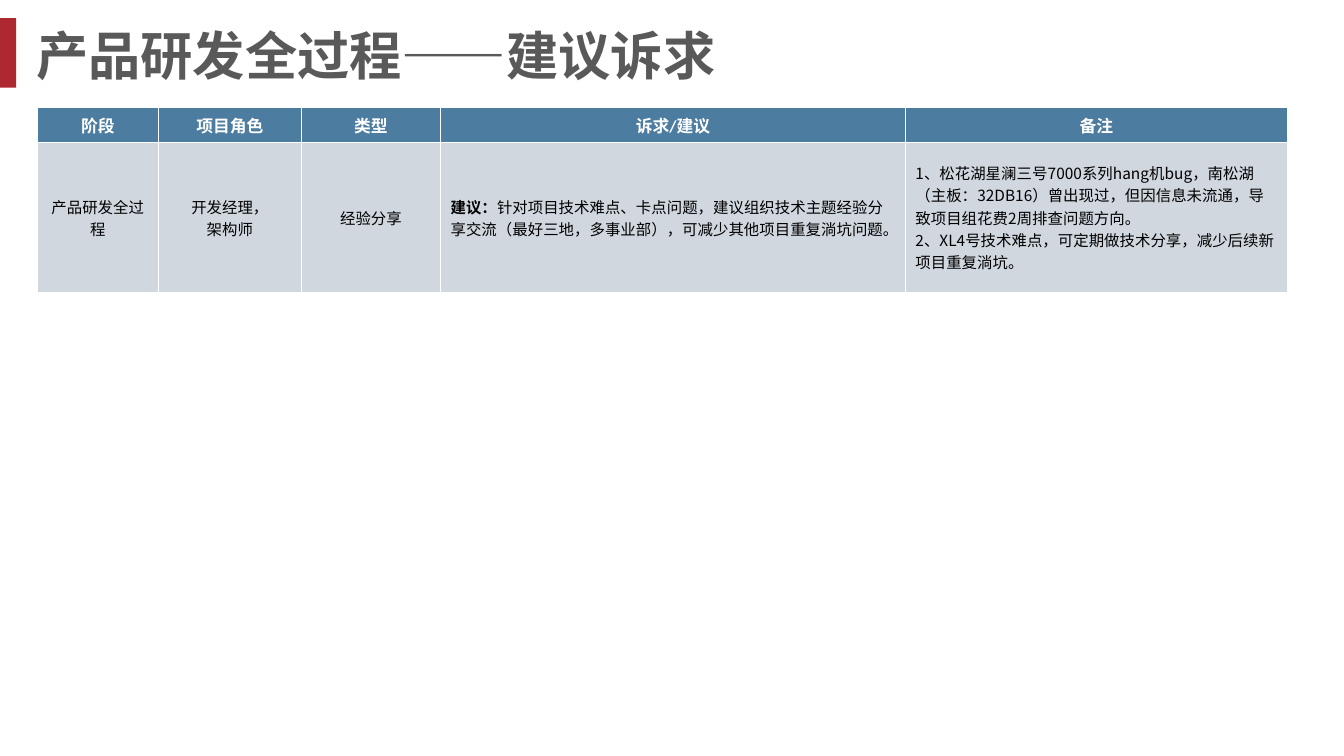
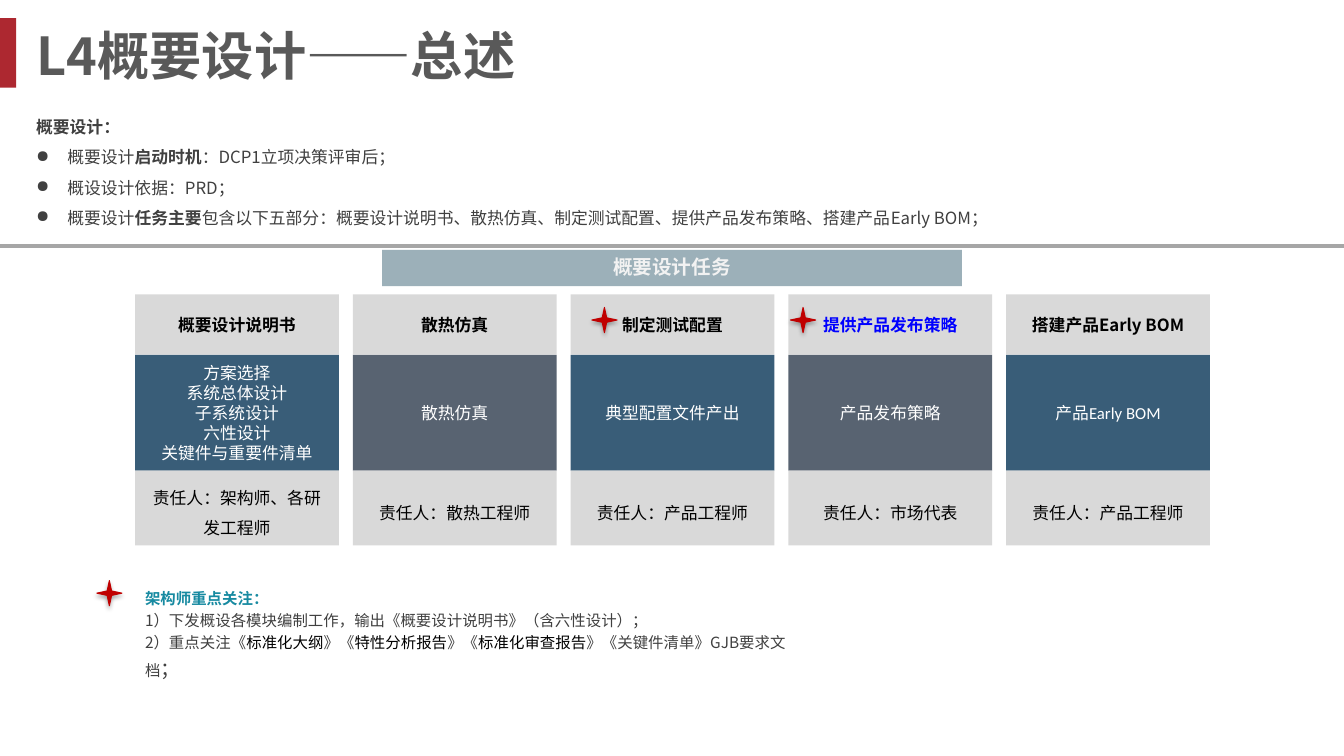
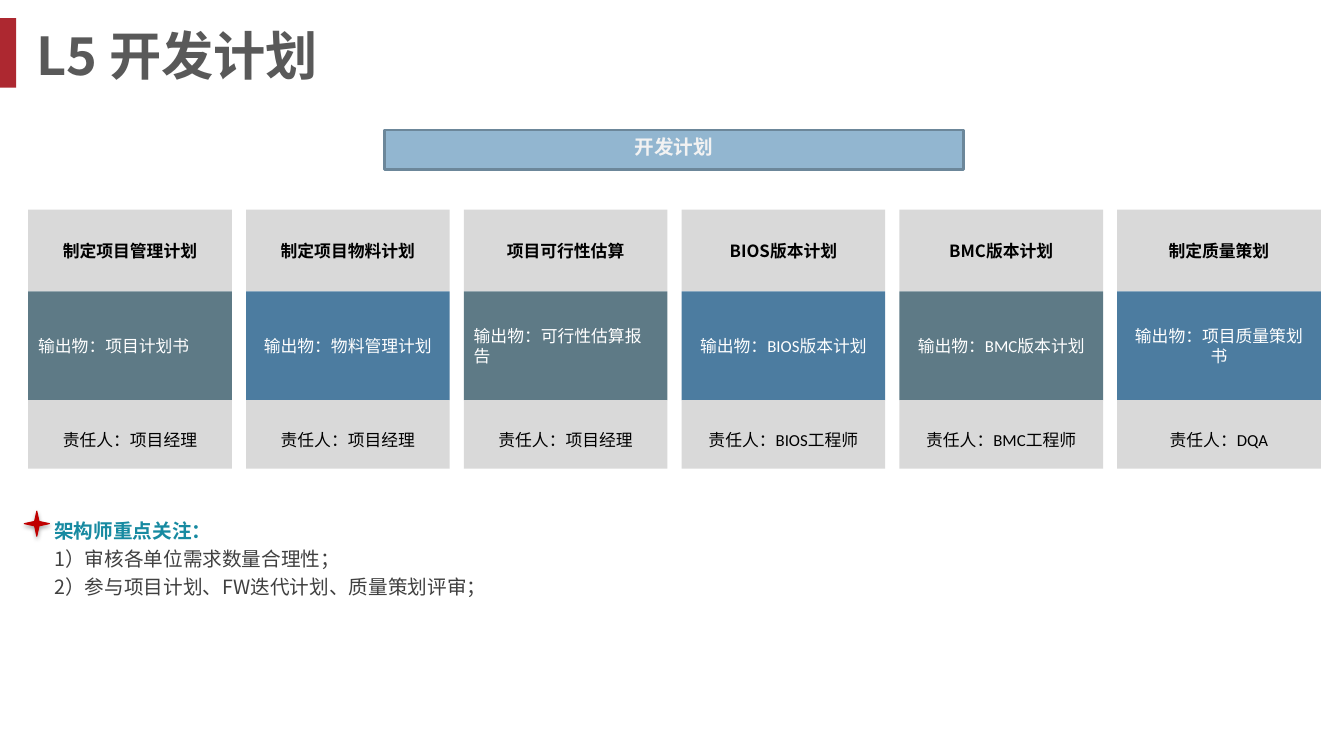
import pptx
import pptx.util
import pptx.dml.color
import pptx.enum.shapes
import pptx.enum.text
import pptx.oxml
import pptx.oxml.ns
from lxml import etree

Inches, Pt = pptx.util.Inches, pptx.util.Pt
RGBColor = pptx.dml.color.RGBColor
KIND = pptx.enum.shapes.MSO_SHAPE
ALIGN = pptx.enum.text.PP_ALIGN
ANCHOR = pptx.enum.text.MSO_ANCHOR
qn = pptx.oxml.ns.qn

# Shared look
NOTO, CALI = "Noto Sans CJK SC", "Calibri"
RED = RGBColor(0xAD, 0x28, 0x30)
STAR = RGBColor(0xC0, 0x00, 0x00)
TITLE = RGBColor(0x59, 0x59, 0x59)
TEXT = RGBColor(0x40, 0x40, 0x40)
BLACK = RGBColor(0x00, 0x00, 0x00)
WHITE = RGBColor(0xFF, 0xFF, 0xFF)
PALE = RGBColor(0xF2, 0xF2, 0xF2)
LIGHT = RGBColor(0xD9, 0xD9, 0xD9)
RULE = RGBColor(0xA6, 0xA6, 0xA6)
TEAL = RGBColor(0x17, 0x8A, 0xA1)
LINK = RGBColor(0x00, 0x00, 0xFF)
BLUE = RGBColor(0x4C, 0x7C, 0xA0)
NAVY = RGBColor(0x39, 0x5D, 0x78)
SLATE = RGBColor(0x58, 0x63, 0x71)
MOSS = RGBColor(0x5E, 0x7A, 0x86)
CELL = RGBColor(0xD0, 0xD7, 0xDF)
MIST = RGBColor(0x9C, 0xB0, 0xB9)
SKY = RGBColor(0x92, 0xB6, 0xD0)
EDGE = RGBColor(0x6C, 0x87, 0x9A)

BOLD = {"bold": True}
DARK = {"color": BLACK}
HEAD = {"color": TEAL, "bold": True}


def write(frame, paras, size, color, name=NOTO, bold=False,
          align=ALIGN.LEFT, space=None):
    """Fill a text frame; a paragraph is a string or a list of (text, format)."""
    frame.word_wrap = True
    for i, para in enumerate(paras):
        p = frame.paragraphs[0] if i == 0 else frame.add_paragraph()
        p.alignment = align
        if space:
            p.line_spacing = space
        for text, extra in [(para, {})] if isinstance(para, str) else para:
            run = p.add_run()
            run.text = text
            look = {"size": Pt(size), "name": name, "bold": bold, "color": color}
            look.update(extra)
            run.font.color.rgb = look.pop("color")
            for key, value in look.items():
                setattr(run.font, key, value)
            east = etree.SubElement(run.font._element, qn("a:ea"))
            east.set("typeface", NOTO)


def draw(slide, kind, x, y, w, h, fill, line=None, width=1):
    shape = slide.shapes.add_shape(kind, Inches(x), Inches(y), Inches(w), Inches(h))
    shape.shadow.inherit = False
    shape.fill.solid()
    shape.fill.fore_color.rgb = fill
    if line is None:
        shape.line.fill.background()
    else:
        shape.line.color.rgb = line
        shape.line.width = Pt(width)
    return shape


deck = pptx.Presentation()
deck.slide_width, deck.slide_height = Inches(13.33), Inches(7.5)

# Red bar and title on every slide
slides = []
for name in ["产品研发全过程——建议诉求", "L4概要设计——总述", "L5 开发计划"]:
    slide = deck.slides.add_slide(deck.slide_layouts[5])
    slides.append(slide)
    draw(slide, KIND.RECTANGLE, 0, 0.18, 0.16, 0.69, RED)
    title = slide.shapes.title
    title.left, title.top = Inches(0.26), Inches(0.18)
    title.width, title.height = Inches(10.81), Inches(0.73)
    title.text_frame.auto_size = pptx.enum.text.MSO_AUTO_SIZE.NONE
    title.text_frame.vertical_anchor = ANCHOR.MIDDLE
    write(title.text_frame, [name], 37.3, TITLE, bold=True)
advice, design, plan = slides

# Slide 1: table of requests
rows = [
    [["阶段"], ["项目角色"], ["类型"], ["诉求/建议"], ["备注"]],
    [["产品研发全过程"],
     ["开发经理，", "架构师"],
     ["经验分享"],
     [[("建议：", BOLD),
       ("针对项目技术难点、卡点问题，建议组织技术主题经验分享交流"
        "（最好三地，多事业部），可减少其他项目重复淌坑问题。", {})]],
     ["1、松花湖星澜三号7000系列hang机bug，南松湖（主板：32DB16）曾出现过，"
      "但因信息未流通，导致项目组花费2周排查问题方向。",
      "2、XL4号技术难点，可定期做技术分享，减少后续新项目重复淌坑。"]],
]
grid = advice.shapes.add_table(2, 5, Inches(0.37), Inches(1.07),
                               Inches(12.4), Inches(1.83)).table
grid.horz_banding = False
for col, width in zip(grid.columns, [1.2, 1.42, 1.38, 4.61, 3.79]):
    col.width = Inches(width)
for row, height in zip(grid.rows, [0.34, 1.49]):
    row.height = Inches(height)
for r, row in enumerate(rows):
    for c, paras in enumerate(row):
        cell = grid.cell(r, c)
        cell.fill.solid()
        cell.fill.fore_color.rgb = CELL if r else BLUE
        cell.vertical_anchor = ANCHOR.MIDDLE
        side = ALIGN.LEFT if r and c > 2 else ALIGN.CENTER
        if r:
            write(cell.text_frame, paras, 11, BLACK, align=side)
        else:
            write(cell.text_frame, paras, 12, WHITE, CALI, True, side)

# Slide 2: introduction and rule
intro = design.shapes.add_textbox(Inches(0.26), Inches(1.01), Inches(12.58), Inches(1.28))
write(intro.text_frame, [
    [("概要设计：", BOLD)],
    [("概要设计", {}), ("启动时机", BOLD), ("：DCP1立项决策评审后；", {})],
    "概设设计依据：PRD；",
    [("概要设计", {}), ("任务主要", BOLD),
     ("包含以下五部分：概要设计说明书、散热仿真、制定测试配置、"
      "提供产品发布策略、搭建产品Early BOM；", {})],
], 12, TEXT, space=1.5)
for p in intro.text_frame.paragraphs[1:]:
    props = p._p.get_or_add_pPr()
    props.set("marL", str(Inches(0.31)))
    props.set("indent", str(-Inches(0.31)))
    etree.SubElement(props, qn("a:buChar")).set("char", "●")

rule = design.shapes.add_connector(pptx.enum.shapes.MSO_CONNECTOR.STRAIGHT,
                                   0, Inches(2.44), Inches(13.33), Inches(2.44))
rule.line.color.rgb = RULE
rule.line.width = Pt(3)
etree.SubElement(rule._element.spPr, qn("a:effectLst"))

# Slides 2 and 3: banners
for slide, x, y, h, fill, line, text in [
        (design, 3.79, 2.48, 0.36, MIST, None, "概要设计任务"),
        (plan, 3.81, 1.29, 0.39, SKY, EDGE, "开发计划")]:
    band = draw(slide, KIND.RECTANGLE, x, y, 5.75, h, fill, line, 2)
    band.text_frame.vertical_anchor = ANCHOR.TOP
    write(band.text_frame, [text], 14, PALE, CALI, True, ALIGN.CENTER)

# Slides 2 and 3: task columns of heading, content and owner
MID = ALIGN.CENTER
tasks = [
    ("概要设计说明书",
     ["方案选择", "系统总体设计", "子系统设计", "六性设计", "关键件与重要件清单"],
     "架构师、各研发工程师", BLACK, MID),
    ("散热仿真", ["散热仿真"], "散热工程师", BLACK, MID),
    ("制定测试配置", ["典型配置文件产出"], "产品工程师", BLACK, MID),
    ("提供产品发布策略", ["产品发布策略"], "市场代表", LINK, MID),
    ("搭建产品Early BOM", ["产品Early BOM"], "产品工程师", BLACK, MID),
]
plans = [
    ("制定项目管理计划", ["输出物：项目计划书"], "项目经理", BLACK, ALIGN.LEFT),
    ("制定项目物料计划", ["输出物：物料管理计划"], "项目经理", BLACK, MID),
    ("项目可行性估算", ["输出物：可行性估算报告"], "项目经理", BLACK, ALIGN.LEFT),
    ("BIOS版本计划", ["输出物：BIOS版本计划"], "BIOS工程师", BLACK, MID),
    ("BMC版本计划", ["输出物：BMC版本计划"], "BMC工程师", BLACK, MID),
    ("制定质量策划", ["输出物：项目质量策划书"], "DQA", BLACK, MID),
]
for slide, cards, left, top, sizes, fills in [
        (design, tasks, 1.34, 2.92, (0.6, 1.15, 0.74), (NAVY, SLATE)),
        (plan, plans, 0.28, 2.08, (0.81, 1.08, 0.68), (MOSS, BLUE))]:
    for i, (head, body, owner, color, side) in enumerate(cards):
        y = top
        parts = [
            (LIGHT, [head], color, NOTO, True, MID, None),
            (fills[i % 2], body, WHITE, CALI, False, side, None),
            (LIGHT, ["责任人：" + owner], BLACK, CALI, False, MID, 1.5),
        ]
        for h, (fill, paras, *look) in zip(sizes, parts):
            box = draw(slide, KIND.RECTANGLE, left + i * 2.16, y, 2.02, h, fill)
            box.text_frame.vertical_anchor = ANCHOR.MIDDLE
            write(box.text_frame, paras, 12, *look)
            y += h

# Slides 2 and 3: points for the architect
FOCUS = [("架构师重点关注：", HEAD)]
TERM = {"color": BLACK, "name": CALI}
for slide, x, y, w, h, size, paras in [
        (design, 1.34, 5.76, 6.67, 0.83, 11, [
            FOCUS,
            "1）下发概设各模块编制工作，输出《概要设计说明书》（含六性设计）；",
            [("2）重点关注《", {}), ("标准化大纲", DARK), ("》《", {}),
             ("特性分析报告", TERM), ("》《", {}), ("标准化审查报告", TERM),
             ("》《关键件清单》GJB要求文档", {}), ("；", {"size": Pt(14)})]]),
        (plan, 0.44, 5.05, 4.58, 0.95, 14, [
            FOCUS,
            "1）审核各单位需求数量合理性；",
            "2）参与项目计划、FW迭代计划、质量策划评审；"])]:
    note = slide.shapes.add_textbox(Inches(x), Inches(y), Inches(w), Inches(h))
    write(note.text_frame, paras, size, TEXT, space=1.2)

# Star marks with a soft shadow
for slide, x, y in [(design, 0.96, 5.76), (design, 5.87, 3.05),
                    (design, 7.84, 3.05), (plan, 0.24, 5.07)]:
    star = draw(slide, KIND.STAR_4_POINT, x, y, 0.25, 0.25, STAR, STAR, 0.75)
    glow = etree.SubElement(star._element.spPr.find(qn("a:effectLst")), qn("a:outerShdw"))
    for key, value in {"blurRad": Pt(3.1), "dist": Pt(1.8), "dir": 90 * 60000,
                       "rotWithShape": 0}.items():
        glow.set(key, str(int(value)))
    tint = etree.SubElement(glow, qn("a:srgbClr"))
    tint.set("val", "000000")
    etree.SubElement(tint, qn("a:alpha")).set("val", "35000")

deck.save("out.pptx")
